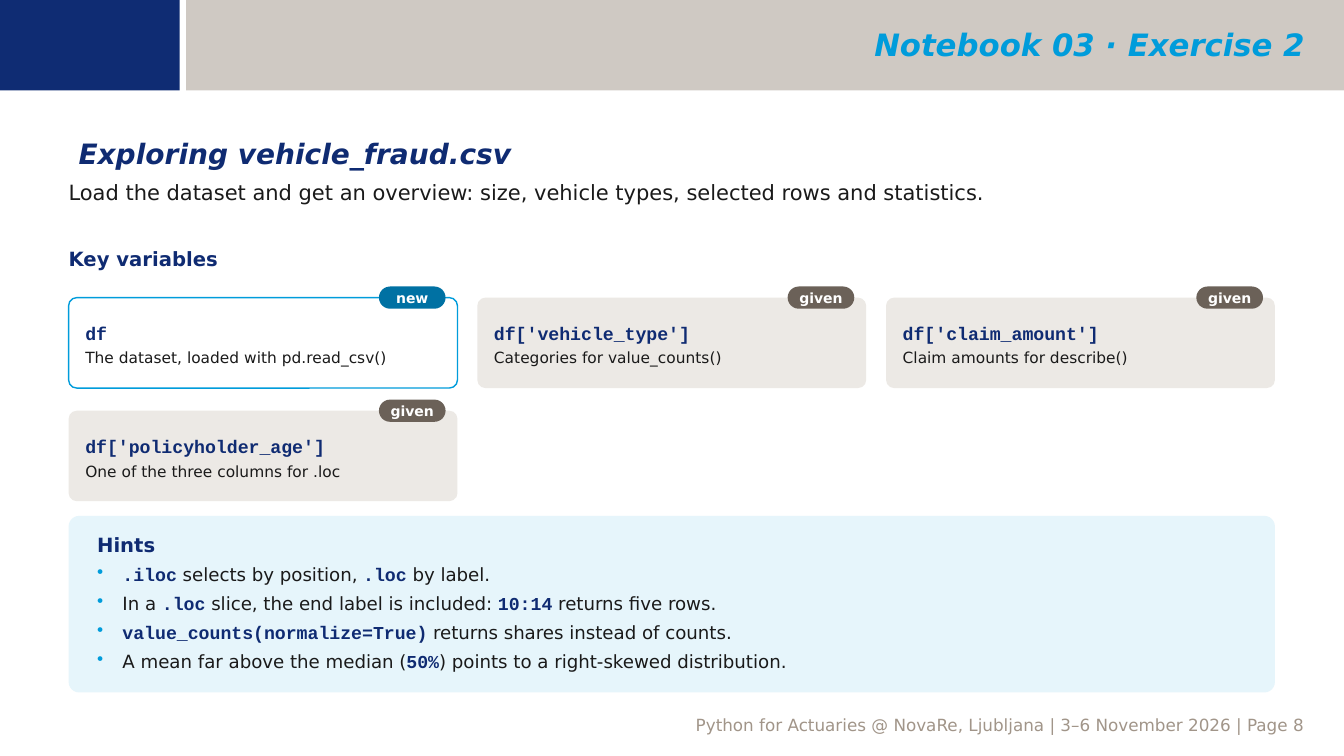
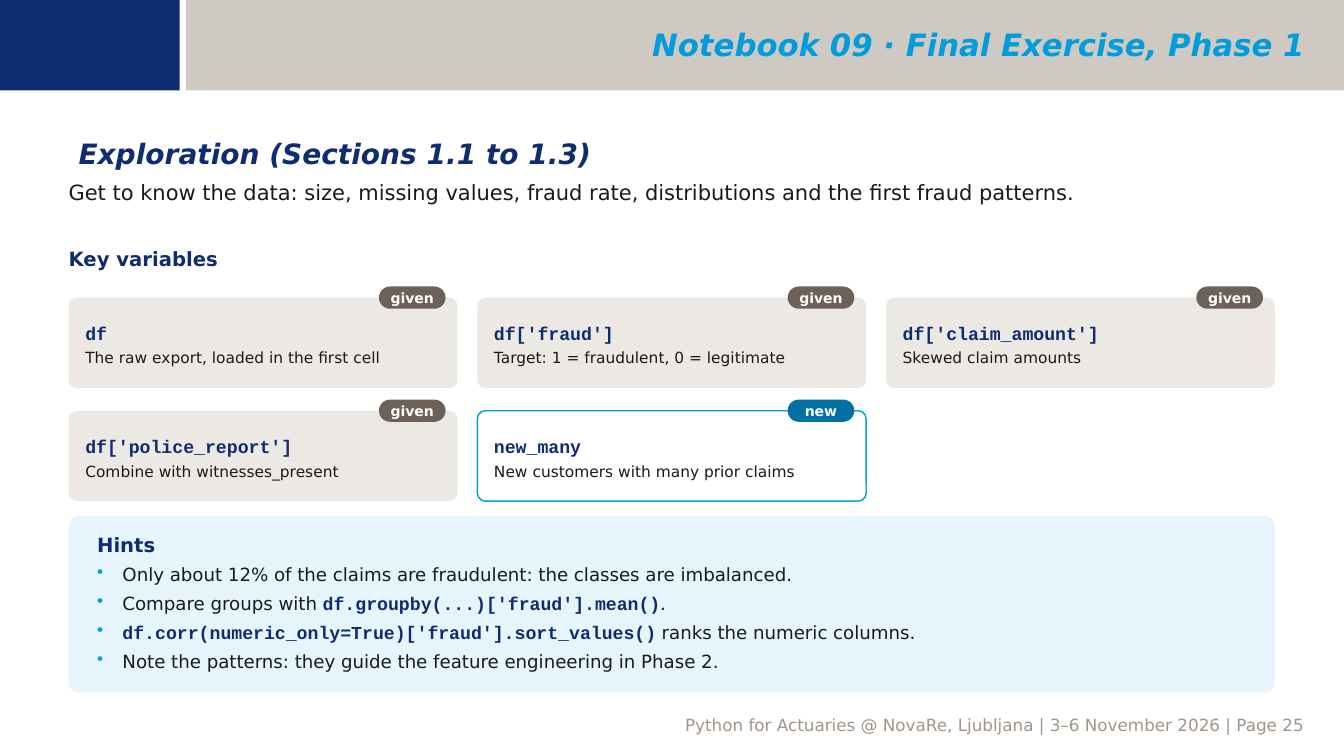
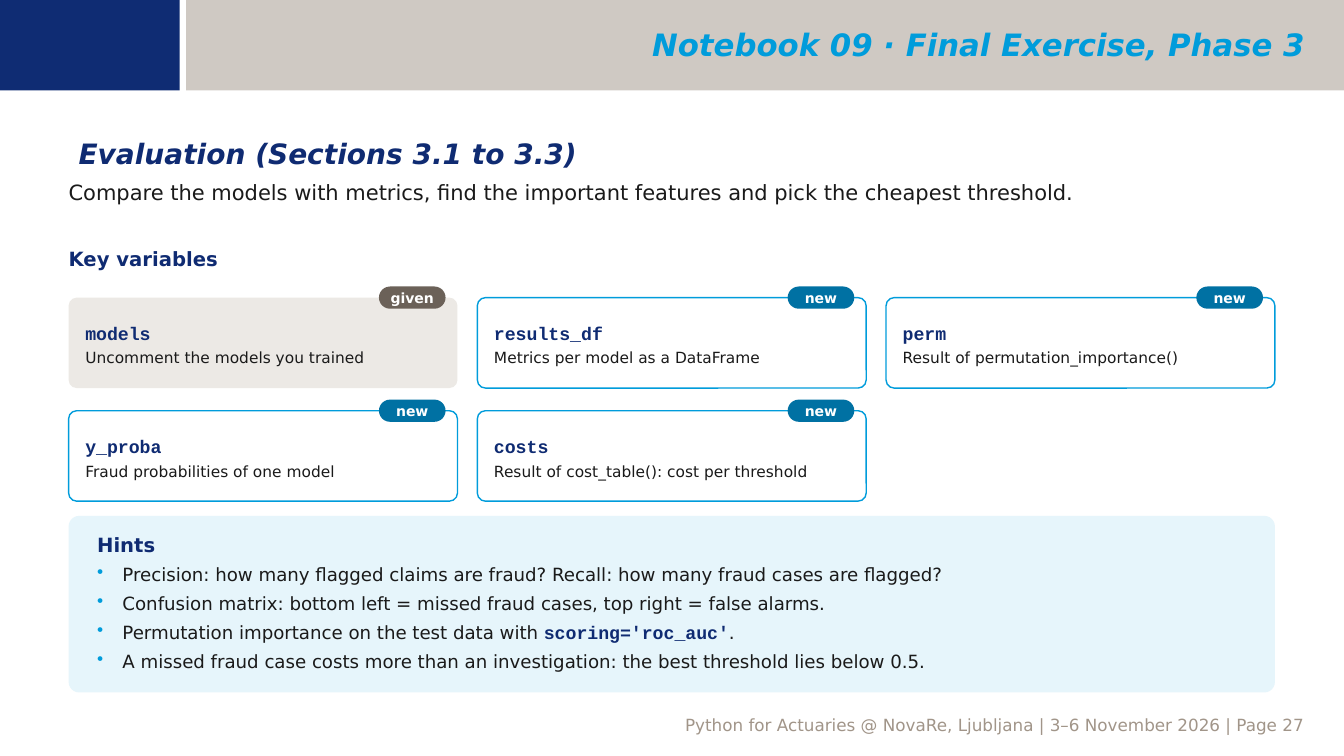
from dataclasses import dataclass

from lxml import etree
from pptx import Presentation
from pptx import util as u
from pptx.dml.color import RGBColor
from pptx.enum import shapes, text
from pptx.oxml.ns import qn

Cm, Pt = u.Cm, u.Pt
RECT = shapes.MSO_SHAPE.RECTANGLE
ROUND = shapes.MSO_SHAPE.ROUNDED_RECTANGLE
TOP, MIDDLE = text.MSO_ANCHOR.TOP, text.MSO_ANCHOR.MIDDLE
LEFT, CENTER, RIGHT = text.PP_ALIGN.LEFT, text.PP_ALIGN.CENTER, text.PP_ALIGN.RIGHT


@dataclass(frozen=True)
class Theme:
    sans: str = "DejaVu Sans"
    mono: str = "Courier New"
    band: str = "0F2C73"
    navy: str = "0F2B72"
    sky: str = "009CDB"
    taupe: str = "A19589"
    ink: str = "1A1A1A"
    white: str = "FFFFFF"
    new: str = "0071A3"
    given: str = "6B6158"
    card: str = "ECE9E5"
    hints: str = "E6F5FB"
    header_size: int = 22
    title_size: int = 20
    lead_size: int = 15
    heading_size: int = 14
    body_size: int = 13
    footer_size: int = 12
    note_size: int = 11
    tag_size: int = 10


T = Theme()

SLIDE_W, SLIDE_H = 33.87, 19.05
MARGIN, CONTENT_W = 1.73, 30.4
BAND_H, BLUE_W, GREY_X = 2.28, 4.53, 4.69
COLUMNS, CARD_TOP, CARD_W, CARD_H = 3, 7.5, 9.8, 2.28
COLUMN_GAP = (CONTENT_W - COLUMNS * CARD_W) / (COLUMNS - 1)
ROW_GAP = 0.57
TAG_W, TAG_H, TAG_INSET = 1.68, 0.56, 0.3
HINTS_TOP, HINTS_H = 13, 4.45
BULLET_INDENT = 0.64
NO_INSETS = (0, 0, 0, 0)

SLIDES = [
    dict(
        header="Notebook 03 · Exercise 2",
        title="Exploring vehicle_fraud.csv",
        lead="Load the dataset and get an overview: size, vehicle types, "
             "selected rows and statistics.",
        cards=[
            ("new", "df", "The dataset, loaded with pd.read_csv()"),
            ("given", "df['vehicle_type']", "Categories for value_counts()"),
            ("given", "df['claim_amount']", "Claim amounts for describe()"),
            ("given", "df['policyholder_age']", "One of the three columns for .loc"),
        ],
        hints=[
            "`.iloc` selects by position, `.loc` by label.",
            "In a `.loc` slice, the end label is included: `10:14` returns five rows.",
            "`value_counts(normalize=True)` returns shares instead of counts.",
            "A mean far above the median (`50%`) points to a right-skewed distribution.",
        ],
        page=8,
    ),
    dict(
        header="Notebook 09 · Final Exercise, Phase 1",
        title="Exploration (Sections 1.1 to 1.3)",
        lead="Get to know the data: size, missing values, fraud rate, "
             "distributions and the first fraud patterns.",
        cards=[
            ("given", "df", "The raw export, loaded in the first cell"),
            ("given", "df['fraud']", "Target: 1 = fraudulent, 0 = legitimate"),
            ("given", "df['claim_amount']", "Skewed claim amounts"),
            ("given", "df['police_report']", "Combine with witnesses_present"),
            ("new", "new_many", "New customers with many prior claims"),
        ],
        hints=[
            "Only about 12% of the claims are fraudulent: the classes are imbalanced.",
            "Compare groups with `df.groupby(...)['fraud'].mean()`.",
            "`df.corr(numeric_only=True)['fraud'].sort_values()` ranks the numeric columns.",
            "Note the patterns: they guide the feature engineering in Phase 2.",
        ],
        page=25,
    ),
    dict(
        header="Notebook 09 · Final Exercise, Phase 3",
        title="Evaluation (Sections 3.1 to 3.3)",
        lead="Compare the models with metrics, find the important features "
             "and pick the cheapest threshold.",
        cards=[
            ("given", "models", "Uncomment the models you trained"),
            ("new", "results_df", "Metrics per model as a DataFrame"),
            ("new", "perm", "Result of permutation_importance()"),
            ("new", "y_proba", "Fraud probabilities of one model"),
            ("new", "costs", "Result of cost_table(): cost per threshold"),
        ],
        hints=[
            "Precision: how many flagged claims are fraud? "
            "Recall: how many fraud cases are flagged?",
            "Confusion matrix: bottom left = missed fraud cases, top right = false alarms.",
            "Permutation importance on the test data with `scoring='roc_auc'`.",
            "A missed fraud case costs more than an investigation: "
            "the best threshold lies below 0.5.",
        ],
        page=27,
    ),
]


def add_bullet(p):
    pPr = p._p.get_or_add_pPr()
    pPr.set("marL", str(Cm(BULLET_INDENT)))
    pPr.set("indent", str(-Cm(BULLET_INDENT)))
    color = etree.SubElement(pPr, qn("a:buClr"))
    etree.SubElement(color, qn("a:srgbClr"), val=T.sky)
    etree.SubElement(pPr, qn("a:buChar"), char="•")


def add_text(tf, content, *, size, color=T.ink, bold=False, italic=False,
             align=LEFT, before=0, bullet=False):
    """Add a paragraph; parts between backticks are set as code."""
    p = tf.paragraphs[0]
    if p.runs:
        p = tf.add_paragraph()
    p.alignment = align
    if before:
        p.space_before = Pt(before)
    if bullet:
        add_bullet(p)
    for i, part in enumerate(content.split("`")):
        if not part:
            continue
        code = i % 2 == 1
        r = p.add_run()
        r.text = part
        r.font.name = T.mono if code else T.sans
        r.font.size = Pt(size)
        r.font.bold = bold or code
        r.font.italic = italic
        r.font.color.rgb = RGBColor.from_string(T.navy if code else color)


def set_frame(tf, insets, anchor):
    tf.word_wrap = True
    tf.vertical_anchor = anchor
    tf.margin_left, tf.margin_top, tf.margin_right, tf.margin_bottom = map(Cm, insets)
    return tf


def add_box(s, x, y, w, h, *, insets=NO_INSETS, anchor=TOP):
    sp = s.shapes.add_textbox(Cm(x), Cm(y), Cm(w), Cm(h))
    return set_frame(sp.text_frame, insets, anchor)


def add_panel(s, x, y, w, h, fill, *, kind=ROUND, radius=0.5, line=None, alpha=None,
              insets=NO_INSETS, anchor=MIDDLE):
    """Add a filled shape and return its text frame; alpha is in percent."""
    sp = s.shapes.add_shape(kind, Cm(x), Cm(y), Cm(w), Cm(h))
    sp.shadow.inherit = False
    sp.fill.solid()
    sp.fill.fore_color.rgb = RGBColor.from_string(fill)
    if kind == ROUND:
        sp.adjustments[0] = radius
    if alpha:
        color = sp.element.spPr.find(qn("a:solidFill")).find(qn("a:srgbClr"))
        etree.SubElement(color, qn("a:alpha"), val=str(alpha * 1000))
    if line:
        sp.line.color.rgb = RGBColor.from_string(line)
        sp.line.width = Pt(1)
    else:
        sp.line.fill.background()
    return set_frame(sp.text_frame, insets, anchor)


def add_frame(s, header, page):
    """Add the footer, the two header bands and the header text."""
    tf = add_box(s, 1.93, 17.91, 31.2, 0.23, insets=(0.25, 0.13, 0.25, 0.13))
    add_text(tf, f"Python for Actuaries @ NovaRe, Ljubljana | 3–6 November 2026 | Page {page}",
             size=T.footer_size, color=T.taupe, align=RIGHT)
    add_panel(s, GREY_X, 0, SLIDE_W - GREY_X, BAND_H, T.taupe, kind=RECT, alpha=50)
    add_panel(s, 0, 0, BLUE_W, BAND_H, T.band, kind=RECT)
    tf = add_box(s, 5.13, 0.05, 28, 2.13, insets=(0.25, 0.13, 0.25, 0.13), anchor=MIDDLE)
    add_text(tf, header, size=T.header_size, color=T.sky, bold=True, italic=True, align=RIGHT)


def add_intro(s, title, lead):
    tf = add_box(s, MARGIN, 3.3, CONTENT_W, 1.02, insets=(0.25, 0.13, 0.25, 0.13))
    add_text(tf, title, size=T.title_size, color=T.navy, bold=True, italic=True)
    tf = add_box(s, MARGIN, 4.52, CONTENT_W, 1.57)
    add_text(tf, lead, size=T.lead_size)
    tf = add_box(s, MARGIN, 6.22, 15.24, 0.81)
    add_text(tf, "Key variables", size=T.heading_size, color=T.navy, bold=True)


def add_card(s, index, tag, name, note):
    row, column = divmod(index, COLUMNS)
    x = MARGIN + column * (CARD_W + COLUMN_GAP)
    y = CARD_TOP + row * (CARD_H + ROW_GAP)
    is_new = tag == "new"
    tf = add_panel(s, x, y, CARD_W, CARD_H, T.white if is_new else T.card, radius=0.09,
                   line=T.sky if is_new else None, insets=(0.36, 0.25, 0.36, 0.15))
    add_text(tf, f"`{name}`", size=T.body_size)
    add_text(tf, note, size=T.note_size, before=3)
    tf = add_panel(s, x + CARD_W - TAG_INSET - TAG_W, y - TAG_H / 2, TAG_W, TAG_H,
                   T.new if is_new else T.given)
    add_text(tf, tag, size=T.tag_size, color=T.white, bold=True, align=CENTER)


def add_hints(s, hints):
    tf = add_panel(s, MARGIN, HINTS_TOP, CONTENT_W, HINTS_H, T.hints, radius=0.06,
                   insets=(0.64, 0.36, 0.56, 0.25), anchor=TOP)
    add_text(tf, "Hints", size=T.heading_size, color=T.navy, bold=True)
    for hint in hints:
        add_text(tf, hint, size=T.body_size, before=5, bullet=True)


def main():
    prs = Presentation()
    prs.slide_width, prs.slide_height = Cm(SLIDE_W), Cm(SLIDE_H)
    for content in SLIDES:
        s = prs.slides.add_slide(prs.slide_layouts[6])
        add_frame(s, content["header"], content["page"])
        add_intro(s, content["title"], content["lead"])
        for index, card in enumerate(content["cards"]):
            add_card(s, index, *card)
        add_hints(s, content["hints"])
    prs.save("out.pptx")


if __name__ == "__main__":
    main()
